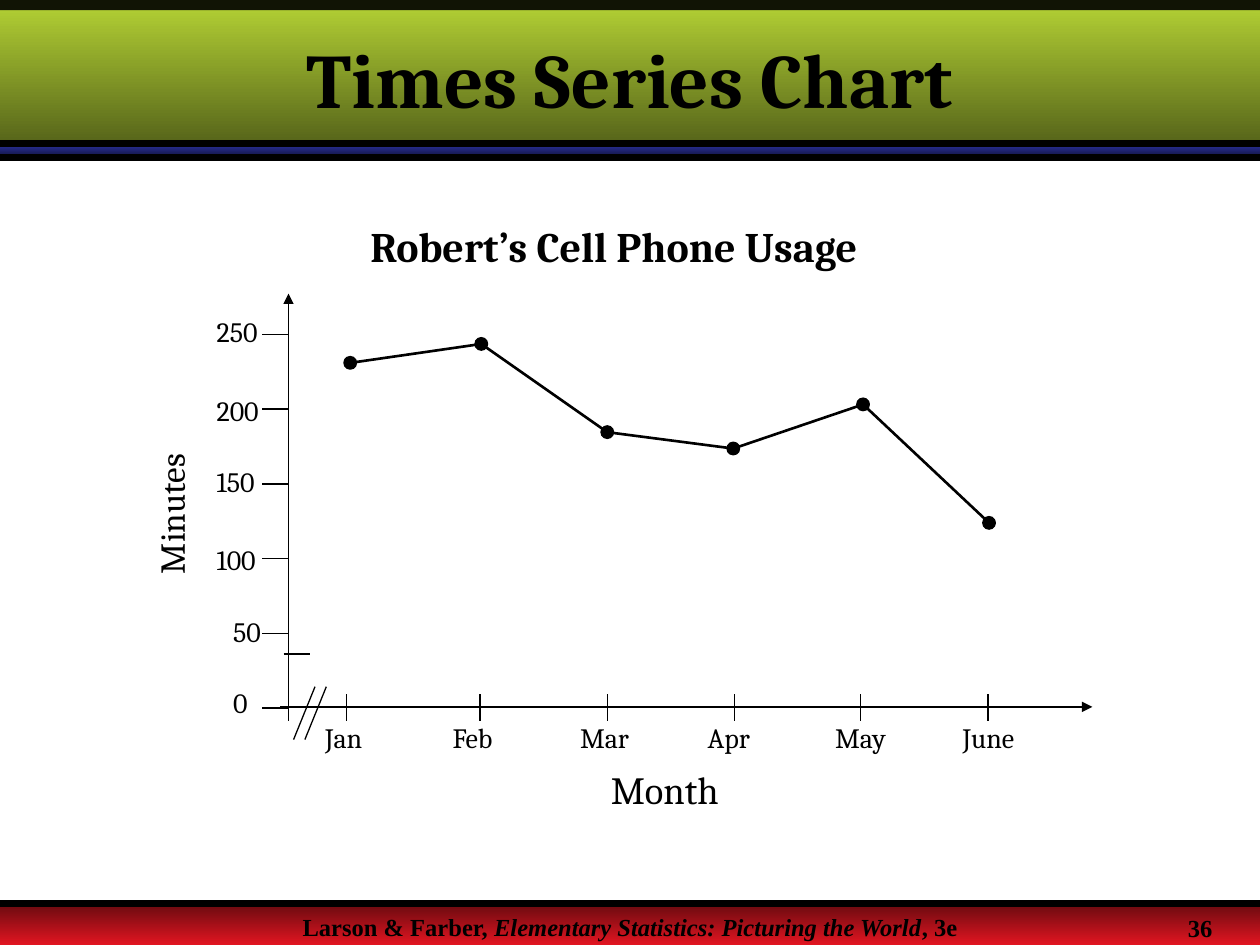
from dataclasses import dataclass
from itertools import pairwise

from lxml import etree
from pptx import Presentation
from pptx.dml.color import RGBColor
from pptx.enum.shapes import MSO_CONNECTOR, MSO_SHAPE
from pptx.enum.text import MSO_ANCHOR, PP_ALIGN
from pptx.oxml.ns import qn
from pptx.util import Inches, Pt

STRAIGHT = MSO_CONNECTOR.STRAIGHT
RECTANGLE, OVAL = MSO_SHAPE.RECTANGLE, MSO_SHAPE.OVAL
LEFT, CENTER = PP_ALIGN.LEFT, PP_ALIGN.CENTER
TOP, MIDDLE = MSO_ANCHOR.TOP, MSO_ANCHOR.MIDDLE

COLORS = {
    "black": "000000",
    "red_top": "680A0F", "red_bottom": "E11521",
    "blue_top": "242985", "blue_bottom": "11133E",
    "green_top": "B5D335", "green_bottom": "546219",
}
AXIS_X, AXIS_Y = 2.29, 5.61
AXIS_WIDTH, BREAK_WIDTH, SERIES_WIDTH = 0.88, 0.75, 1.5
VALUE_STEP = 0.593
MARKER_SIZE = 0.1


@dataclass
class Band:
    top: float
    height: float
    color: str


@dataclass
class Label:
    text: str
    left: float
    top: float
    width: float
    height: float
    size: float
    font: str = "Cambria"
    bold: bool = False
    align: PP_ALIGN = LEFT
    anchor: MSO_ANCHOR = TOP
    padded: bool = True
    rotation: float = 0


@dataclass
class Month:
    name: str
    tick_x: float
    marker_x: float
    marker_y: float


BANDS = [
    Band(7.17, 0.33, "red"),
    Band(1.17, 0.08, "blue"),
    Band(0, 1.17, "green"),
]
LABELS = [
    Label("36", 9.33, 7.2, 0.6, 0.3, 14, "Times New Roman", True),
    Label("Times Series Chart", 0, 0.08, 10, 1.08, 44, bold=True, align=CENTER, anchor=MIDDLE),
    Label("Robert’s Cell Phone Usage", 2.84, 1.7, 4.42, 0.9, 24, bold=True),
    Label("Minutes", -0.21, 3.87, 3.17, 0.42, 20, align=CENTER, rotation=270),
    Label("Month", 4.75, 6.03, 1.13, 0.47, 22),
]
VALUE_LABELS = [
    ("0", 1.85, 5.44), ("50", 1.85, 4.88), ("100", 1.72, 4.31),
    ("150", 1.72, 3.69), ("200", 1.72, 3.12), ("250", 1.72, 2.5),
]
MONTHS = [
    Month("Jan", 2.75, 2.78, 2.88),
    Month("Feb", 3.81, 3.82, 2.73),
    Month("Mar", 4.82, 4.82, 3.43),
    Month("Apr", 5.83, 5.82, 3.56),
    Month("May", 6.83, 6.85, 3.21),
    Month("June", 7.84, 7.85, 4.15),
]


def rgb(name: str) -> RGBColor:
    """Return the named palette colour."""
    return RGBColor.from_string(COLORS[name])


def add_line(slide, start: tuple, end: tuple, width: float, arrow: bool = False) -> None:
    """Draw a black line, with an optional arrowhead at its start."""
    points = [Inches(value) for value in (*start, *end)]
    line = slide.shapes.add_connector(STRAIGHT, *points)
    line.line.color.rgb = rgb("black")
    line.line.width = Pt(width)
    if arrow:
        etree.SubElement(line.line._get_or_add_ln(), qn("a:headEnd"), type="triangle")
    etree.SubElement(line._element.spPr, qn("a:effectLst"))


def add_band(slide, band: Band) -> None:
    """Draw a full-width band with a vertical gradient."""
    shape = slide.shapes.add_shape(
        RECTANGLE, 0, Inches(band.top), Inches(10), Inches(band.height))
    shape.shadow.inherit = False
    shape.line.fill.background()
    shape.fill.gradient()
    shape.fill.gradient_angle = 270
    for stop, end in zip(shape.fill.gradient_stops, ("top", "bottom")):
        stop.color.rgb = rgb(f"{band.color}_{end}")


def add_top_strip(slide) -> None:
    """Draw the nearly opaque black strip along the top edge."""
    strip = slide.shapes.add_shape(RECTANGLE, 0, 0, Inches(10), Inches(0.08))
    strip.shadow.inherit = False
    strip.line.fill.background()
    strip.fill.solid()
    strip.fill.fore_color.rgb = rgb("black")
    color = strip._element.spPr.find(f"{qn('a:solidFill')}/{qn('a:srgbClr')}")
    etree.SubElement(color, qn("a:alpha"), val="90000")


def add_label(slide, label: Label):
    """Add a text box and return its paragraph."""
    box = slide.shapes.add_textbox(
        Inches(label.left), Inches(label.top), Inches(label.width), Inches(label.height))
    box.rotation = label.rotation
    frame = box.text_frame
    frame.word_wrap = True
    frame.vertical_anchor = label.anchor
    if not label.padded:
        frame.margin_left = frame.margin_right = frame.margin_top = frame.margin_bottom = 0
    frame.text = label.text
    paragraph = frame.paragraphs[0]
    paragraph.alignment = label.align
    for run in paragraph.runs:
        format_run(run, label)
    return paragraph


def format_run(run, label: Label, italic: bool = False) -> None:
    """Apply the font of a label to a run."""
    run.font.name = label.font
    run.font.size = Pt(label.size)
    run.font.bold = label.bold
    run.font.italic = italic
    run.font.color.rgb = rgb("black")


def add_footer(slide) -> None:
    """Add the citation with its book title in italics."""
    label = Label("Larson & Farber, ", 0, 7.19, 10, 0.31, 14, "Times New Roman", True, CENTER)
    paragraph = add_label(slide, label)
    for text, italic in (("Elementary Statistics: Picturing the World", True), (", 3e", False)):
        run = paragraph.add_run()
        run.text = text
        format_run(run, label, italic)


def add_axes(slide) -> None:
    """Draw both axes, their ticks and labels, and the axis break."""
    add_line(slide, (AXIS_X, 2.33), (AXIS_X, 5.72), AXIS_WIDTH, True)
    add_line(slide, (8.67, AXIS_Y), (2.22, AXIS_Y), AXIS_WIDTH, True)
    for index, (text, left, top) in enumerate(VALUE_LABELS):
        tick_y = 5.62 - index * VALUE_STEP
        add_line(slide, (2.08, tick_y), (AXIS_X, tick_y), AXIS_WIDTH)
        add_label(slide, Label(text, left, top, 0.37, 0.27, 16, padded=False))
    for index, month in enumerate(MONTHS):
        add_line(slide, (month.tick_x, 5.72), (month.tick_x, 5.51), AXIS_WIDTH)
        left = 2.58 + index * 1.012
        add_label(slide, Label(month.name, left, 5.72, 0.51, 0.27, 16, padded=False))
    for left in (2.33, 2.42):
        add_line(slide, (left + 0.17, 5.45), (left, 5.87), BREAK_WIDTH)
    add_line(slide, (2.25, 5.19), (2.46, 5.19), AXIS_WIDTH)


def add_series(slide) -> None:
    """Draw the monthly markers and the lines that join them."""
    for month in MONTHS:
        marker = slide.shapes.add_shape(
            OVAL, Inches(month.marker_x - MARKER_SIZE / 2),
            Inches(month.marker_y - MARKER_SIZE / 2), Inches(MARKER_SIZE), Inches(MARKER_SIZE))
        marker.shadow.inherit = False
        marker.fill.solid()
        marker.fill.fore_color.rgb = marker.line.color.rgb = rgb("black")
        marker.line.width = Pt(0.75)
    for first, second in pairwise(MONTHS):
        add_line(slide, (first.marker_x, first.marker_y),
                 (second.marker_x, second.marker_y), SERIES_WIDTH)


def main() -> None:
    """Build and save the slide."""
    presentation = Presentation()
    presentation.slide_width, presentation.slide_height = Inches(10), Inches(7.5)
    slide = presentation.slides.add_slide(presentation.slide_layouts[6])
    for band in BANDS:
        add_band(slide, band)
    add_top_strip(slide)
    for height in (1.14, 1.25, 7.17):
        add_line(slide, (0, height), (10, height), 4)
    add_footer(slide)
    for label in LABELS:
        paragraph = add_label(slide, label)
        if label.rotation:
            paragraph.line_spacing = 0.95
    add_axes(slide)
    add_series(slide)
    presentation.save("out.pptx")


if __name__ == "__main__":
    main()
